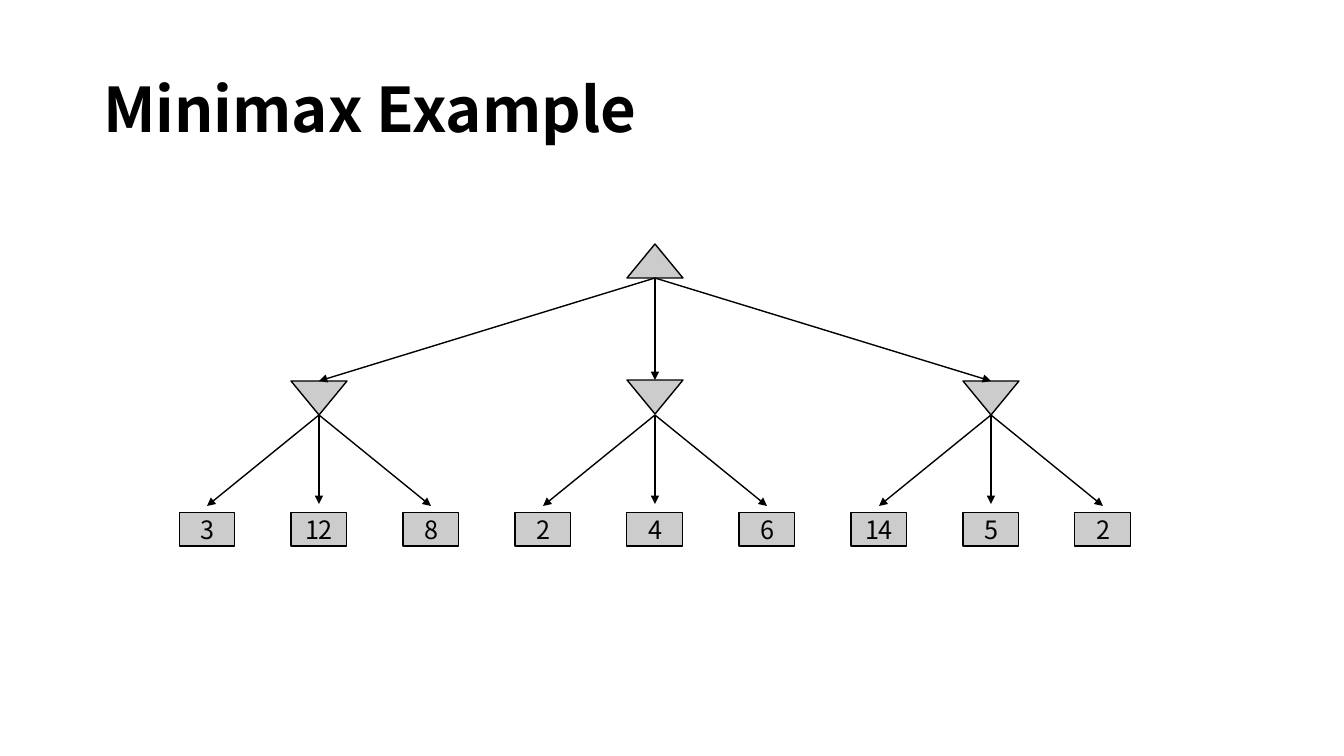
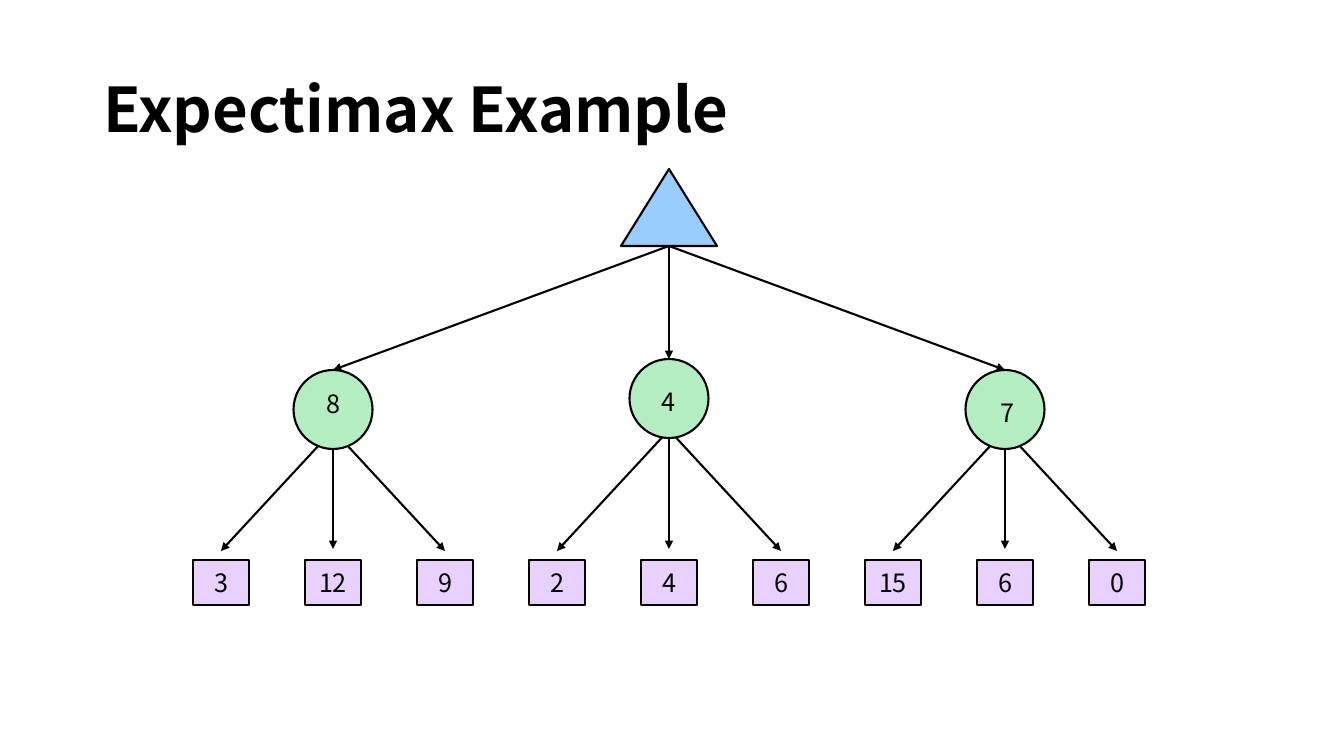
from dataclasses import dataclass

from lxml.etree import SubElement
from pptx import Presentation
from pptx.dml.color import RGBColor
from pptx.enum.shapes import MSO_CONNECTOR, MSO_SHAPE
from pptx.enum.text import MSO_ANCHOR, MSO_AUTO_SIZE, PP_ALIGN
from pptx.oxml.ns import qn
from pptx.util import Emu, Pt

PX_PER_INCH = 100.8
FONT = "Noto Sans CJK SC"
BLACK = "000000"
GREY = "CCCCCC"
BLUE = "99CCFF"
GREEN = "B5EDC2"
LILAC = "E8D1FF"
TITLE_BOX = (93, 40, 1159, 146)
LEAF_WIDTH = 56
LEAF_PITCH = 112
BRANCHING = 3
MIDDLE = 1


@dataclass
class TreeStyle:
    """Sizes, offsets from the top of the tree, and colours of its levels."""

    root_size: tuple
    root_fill: str
    node_shape: MSO_SHAPE
    node_size: tuple
    node_tops: tuple
    node_turn: int
    node_fill: str
    arrow_start: int
    leaf_top: int
    leaf_height: int
    leaf_gap: int
    leaf_fill: str
    leaf_line: float
    line: float


MINIMAX = TreeStyle(
    root_size=(56, 34), root_fill=GREY,
    node_shape=MSO_SHAPE.ISOSCELES_TRIANGLE, node_size=(56, 34),
    node_tops=(137, 136, 137), node_turn=180, node_fill=GREY,
    arrow_start=171, leaf_top=268, leaf_height=34, leaf_gap=6,
    leaf_fill=GREY, leaf_line=0.75, line=1,
)
EXPECTIMAX = TreeStyle(
    root_size=(96, 77), root_fill=BLUE,
    node_shape=MSO_SHAPE.OVAL, node_size=(79, 79),
    node_tops=(201, 190, 201), node_turn=0, node_fill=GREEN,
    arrow_start=261, leaf_top=391, leaf_height=45, leaf_gap=9,
    leaf_fill=LILAC, leaf_line=1.5, line=1.5,
)


def px(value):
    """Turn pixels into EMU."""
    return Emu(round(value * 914400 / PX_PER_INCH))


def color(value):
    """Turn a hex string into a colour."""
    return RGBColor.from_string(value)


def format_font(paragraph, size, bold=False):
    """Give a paragraph's runs the shared font."""
    for run in paragraph.runs:
        run.font.name = FONT
        run.font.size = Pt(size)
        run.font.bold = bold
        run.font.color.rgb = color(BLACK)


def add_node(slide, preset, box, fill, line_width, text=""):
    """Add an outlined shape, with centred text if there is any."""
    shape = slide.shapes.add_shape(preset, *map(px, box))
    shape.shadow.inherit = False
    shape.fill.solid()
    shape.fill.fore_color.rgb = color(fill)
    shape.line.color.rgb = color(BLACK)
    shape.line.width = Pt(line_width)
    if text:
        frame = shape.text_frame
        frame.text = text
        frame.word_wrap = False
        frame.vertical_anchor = MSO_ANCHOR.MIDDLE
        frame.paragraphs[0].alignment = PP_ALIGN.CENTER
        format_font(frame.paragraphs[0], 18)
    return shape


def add_arrow(slide, start, end, line_width):
    """Add a straight arrow between two points."""
    connector = slide.shapes.add_connector(
        MSO_CONNECTOR.STRAIGHT, *map(px, (*start, *end)))
    connector.line.color.rgb = color(BLACK)
    connector.line.width = Pt(line_width)
    properties = connector._element.spPr
    SubElement(properties.find(qn("a:ln")), qn("a:tailEnd"), type="triangle")
    SubElement(properties, qn("a:effectLst"))


def add_label(slide, left, top, text):
    """Add a small number over a node."""
    frame = slide.shapes.add_textbox(*map(px, (left, top, 34, 40))).text_frame
    frame.text = text
    frame.word_wrap = False
    frame.auto_size = MSO_AUTO_SIZE.SHAPE_TO_FIT_TEXT
    format_font(frame.paragraphs[0], 18)


def add_branch(slide, left, top, style, node_top, values):
    """Draw one inner node with its leaves and the arrows to them."""
    center = left + LEAF_PITCH * MIDDLE + LEAF_WIDTH / 2
    leaf_top = top + style.leaf_top
    for index, value in enumerate(values):
        leaf_left = left + index * LEAF_PITCH
        gap = style.leaf_gap + (2 if index == MIDDLE else 0)
        add_arrow(slide, (center, top + style.arrow_start),
                  (leaf_left + LEAF_WIDTH / 2, leaf_top - gap), style.line)
        add_node(slide, MSO_SHAPE.RECTANGLE,
                 (leaf_left, leaf_top, LEAF_WIDTH, style.leaf_height),
                 style.leaf_fill, style.leaf_line, str(value))
    width, height = style.node_size
    node = add_node(slide, style.node_shape,
                    (center - width / 2, top + node_top, width, height),
                    style.node_fill, style.line)
    node.rotation = style.node_turn
    return center


def add_tree(slide, left, top, style, branches):
    """Draw a two-level tree from its top left corner."""
    root_width, root_height = style.root_size
    root_center = left + (BRANCHING ** 2 - 1) * LEAF_PITCH / 2 + LEAF_WIDTH / 2
    add_node(slide, MSO_SHAPE.ISOSCELES_TRIANGLE,
             (root_center - root_width / 2, top, root_width, root_height),
             style.root_fill, style.line)
    for index, (values, node_top) in enumerate(zip(branches, style.node_tops)):
        branch_left = left + index * BRANCHING * LEAF_PITCH
        center = add_branch(slide, branch_left, top, style, node_top, values)
        add_arrow(slide, (root_center, top + root_height),
                  (center, top + node_top), style.line)


def add_titled_slide(presentation, title):
    """Add a title-only slide with the shared title style."""
    slide = presentation.slides.add_slide(presentation.slide_layouts[5])
    shape = slide.shapes.title
    shape.left, shape.top, shape.width, shape.height = map(px, TITLE_BOX)
    frame = shape.text_frame
    frame.text = title
    frame.word_wrap = True
    frame.auto_size = MSO_AUTO_SIZE.NONE
    frame.vertical_anchor = MSO_ANCHOR.MIDDLE
    paragraph = frame.paragraphs[0]
    paragraph.alignment = PP_ALIGN.LEFT
    paragraph.line_spacing = 0.9
    format_font(paragraph, 44, bold=True)
    return slide


def add_minimax_slide(presentation):
    """Build the minimax slide."""
    slide = add_titled_slide(presentation, "Minimax Example")
    add_tree(slide, 179, 244, MINIMAX, ((3, 12, 8), (2, 4, 6), (14, 5, 2)))


def add_expectimax_slide(presentation):
    """Build the expectimax slide."""
    slide = add_titled_slide(presentation, "Expectimax Example")
    left, top = 193, 169
    add_tree(slide, left, top, EXPECTIMAX,
             ((3, 12, 9), (2, 4, 6), (15, 6, 0)))
    for x, y, value in ((124, 214, "8"), (459, 212, "4"), (798, 223, "7")):
        add_label(slide, left + x, top + y, value)


def main():
    """Build and save the presentation."""
    presentation = Presentation()
    presentation.slide_width = px(1344)
    presentation.slide_height = px(756)
    add_minimax_slide(presentation)
    add_expectimax_slide(presentation)
    presentation.save("out.pptx")


if __name__ == "__main__":
    main()
